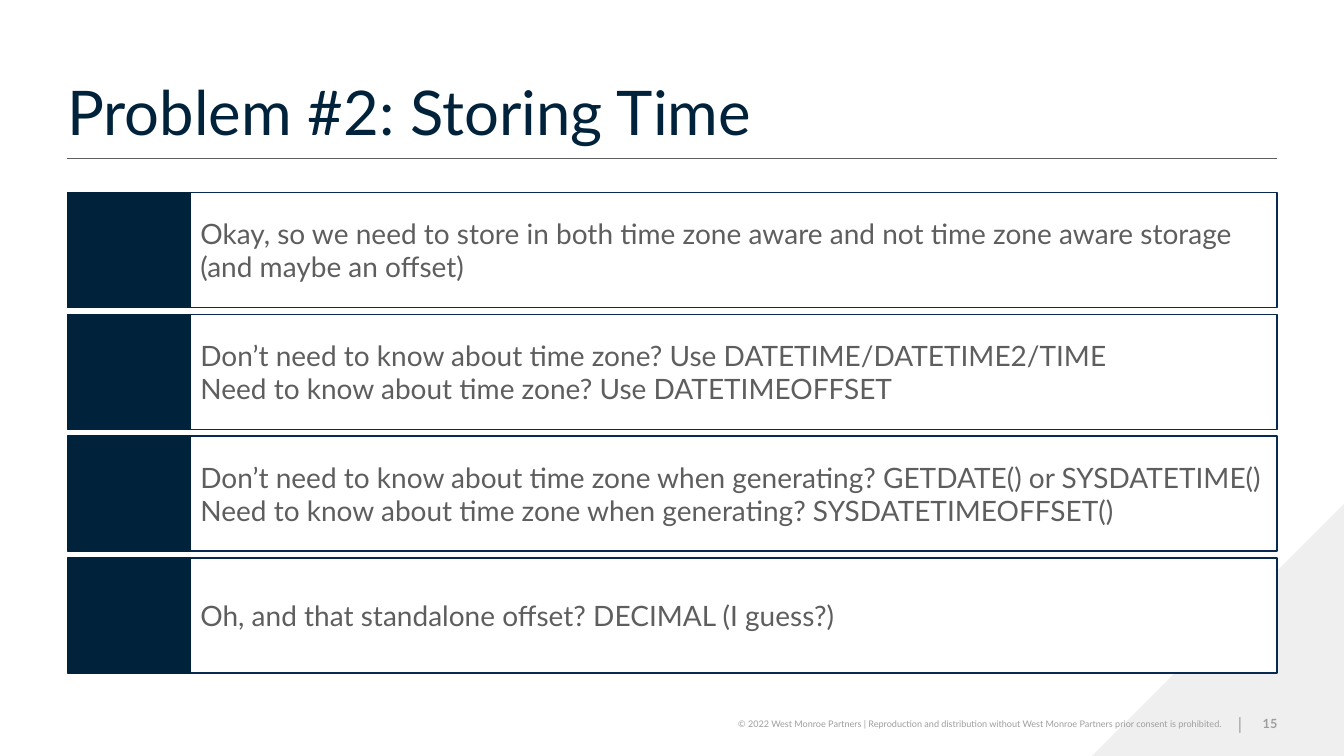
"""Build the "Problem #2: Storing Time" slide."""
from dataclasses import dataclass

from lxml.etree import SubElement
from pptx import Presentation
from pptx.dml.color import RGBColor
from pptx.enum.shapes import MSO_CONNECTOR as Connector, MSO_SHAPE as Preset
from pptx.enum.text import MSO_ANCHOR as Anchor, PP_ALIGN as Align
from pptx.oxml.ns import qn
from pptx.util import Cm, Pt

TITLE = "Problem #2: Storing Time"
ANSWERS = [
    ["Okay, so we need to store in both time zone aware and not time zone aware storage (and maybe an offset)"],
    ["Don’t need to know about time zone? Use DATETIME/DATETIME2/TIME",
     "Need to know about time zone? Use DATETIMEOFFSET"],
    ["Don’t need to know about time zone when generating? GETDATE() or SYSDATETIME()",
     "Need to know about time zone when generating? SYSDATETIMEOFFSET()"],
    ["Oh, and that standalone offset? DECIMAL (I guess?)"],
]
COPYRIGHT = ("© 2022 West Monroe Partners | Reproduction and distribution without "
             "West Monroe Partners prior consent is prohibited.")
PAGE_NUMBER = "15"


@dataclass(frozen=True)
class Theme:
    font: str = "Lato"
    navy: str = "00223A"
    outline: str = "082952"
    gray: str = "5E5E5E"
    muted: str = "9E9E9E"
    corner: str = "EFEFEF"
    white: str = "FFFFFF"
    title_size: float = 44
    answer_size: float = 20
    divider_size: float = 12
    number_size: float = 9
    copyright_size: float = 6.5


THEME = Theme()
PAGE_WIDTH, PAGE_HEIGHT = 33.87, 19.05
LEFT, CONTENT_WIDTH = 1.7, 30.48
RULE_TOP = 3.99
CORNER_SIDE = 6.35
TAB_WIDTH = 3.1
ROW_TOP, ROW_HEIGHT, ROW_PITCH = 4.85, 2.9, 3.07
FOOTER_TOP, FOOTER_HEIGHT = 17.73, 1.02


def write(box, lines, *, size, color, bold=False, align=Align.LEFT,
          anchor=Anchor.MIDDLE, inset=(0, 0)):
    """Fill a shape with formatted paragraphs."""
    frame = box.text_frame
    frame.word_wrap = True
    frame.vertical_anchor = anchor
    frame.margin_left = frame.margin_right = Cm(inset[0])
    frame.margin_top = frame.margin_bottom = Cm(inset[1])
    for index, line in enumerate(lines):
        para = frame.add_paragraph() if index else frame.paragraphs[0]
        para.alignment = align
        span = para.add_run()
        span.text = line
        span.font.name = THEME.font
        span.font.size = Pt(size)
        span.font.bold = bold
        span.font.color.rgb = RGBColor.from_string(color)


def add_text(page, left, top, width, height, line, **style):
    """Add a text box holding one line."""
    box = page.shapes.add_textbox(Cm(left), Cm(top), Cm(width), Cm(height))
    write(box, [line], **style)


def add_block(page, preset, left, top, width, height, fill, outline=None):
    """Add a filled shape, outlined when a colour is given."""
    block = page.shapes.add_shape(preset, Cm(left), Cm(top), Cm(width), Cm(height))
    block.shadow.inherit = False
    block.fill.solid()
    block.fill.fore_color.rgb = RGBColor.from_string(fill)
    if outline:
        block.line.color.rgb = RGBColor.from_string(outline)
        block.line.width = Pt(1)
    else:
        block.line.fill.background()
    return block


def add_background(page):
    """Draw the corner triangle and the rule under the title."""
    corner = add_block(page, Preset.RIGHT_TRIANGLE, PAGE_WIDTH - CORNER_SIDE,
                       PAGE_HEIGHT - CORNER_SIDE, CORNER_SIDE, CORNER_SIDE, THEME.corner)
    corner.element.spPr.find(qn("a:xfrm")).set("flipH", "1")
    rule = page.shapes.add_connector(Connector.STRAIGHT, Cm(LEFT), Cm(RULE_TOP),
                                     Cm(LEFT + CONTENT_WIDTH), Cm(RULE_TOP))
    rule.line.color.rgb = RGBColor.from_string(THEME.gray)
    rule.line.width = Pt(0.3)
    SubElement(rule.element.spPr, qn("a:effectLst"))


def add_answers(page):
    """Stack one bordered row with a navy tab per answer."""
    for index, lines in enumerate(ANSWERS):
        top = ROW_TOP + index * ROW_PITCH
        body = add_block(page, Preset.RECTANGLE, LEFT + TAB_WIDTH, top,
                         CONTENT_WIDTH - TAB_WIDTH, ROW_HEIGHT, THEME.white, THEME.outline)
        write(body, lines, size=THEME.answer_size, color=THEME.gray, inset=(0.25, 0.3))
        add_block(page, Preset.RECTANGLE, LEFT, top, TAB_WIDTH, ROW_HEIGHT,
                  THEME.navy, THEME.navy)


def add_footer(page):
    """Write the divider, copyright line and page number."""
    for line, left, width, size, bold, align in [
        ("|", 30.97, 0.56, THEME.divider_size, False, Align.CENTER),
        (COPYRIGHT, 17.9, 12.9, THEME.copyright_size, False, Align.RIGHT),
        (PAGE_NUMBER, 30.97, 1.22, THEME.number_size, True, Align.RIGHT),
    ]:
        add_text(page, left, FOOTER_TOP, width, FOOTER_HEIGHT, line,
                 size=size, color=THEME.muted, bold=bold, align=align)


def main():
    """Assemble and save the deck."""
    deck = Presentation()
    deck.slide_width, deck.slide_height = Cm(PAGE_WIDTH), Cm(PAGE_HEIGHT)
    page = deck.slides.add_slide(deck.slide_layouts[6])
    add_background(page)
    add_text(page, LEFT, 1.7, CONTENT_WIDTH, 2.03, TITLE, size=THEME.title_size,
             color=THEME.navy, anchor=Anchor.BOTTOM)
    add_footer(page)
    add_answers(page)
    deck.save("out.pptx")


if __name__ == "__main__":
    main()
